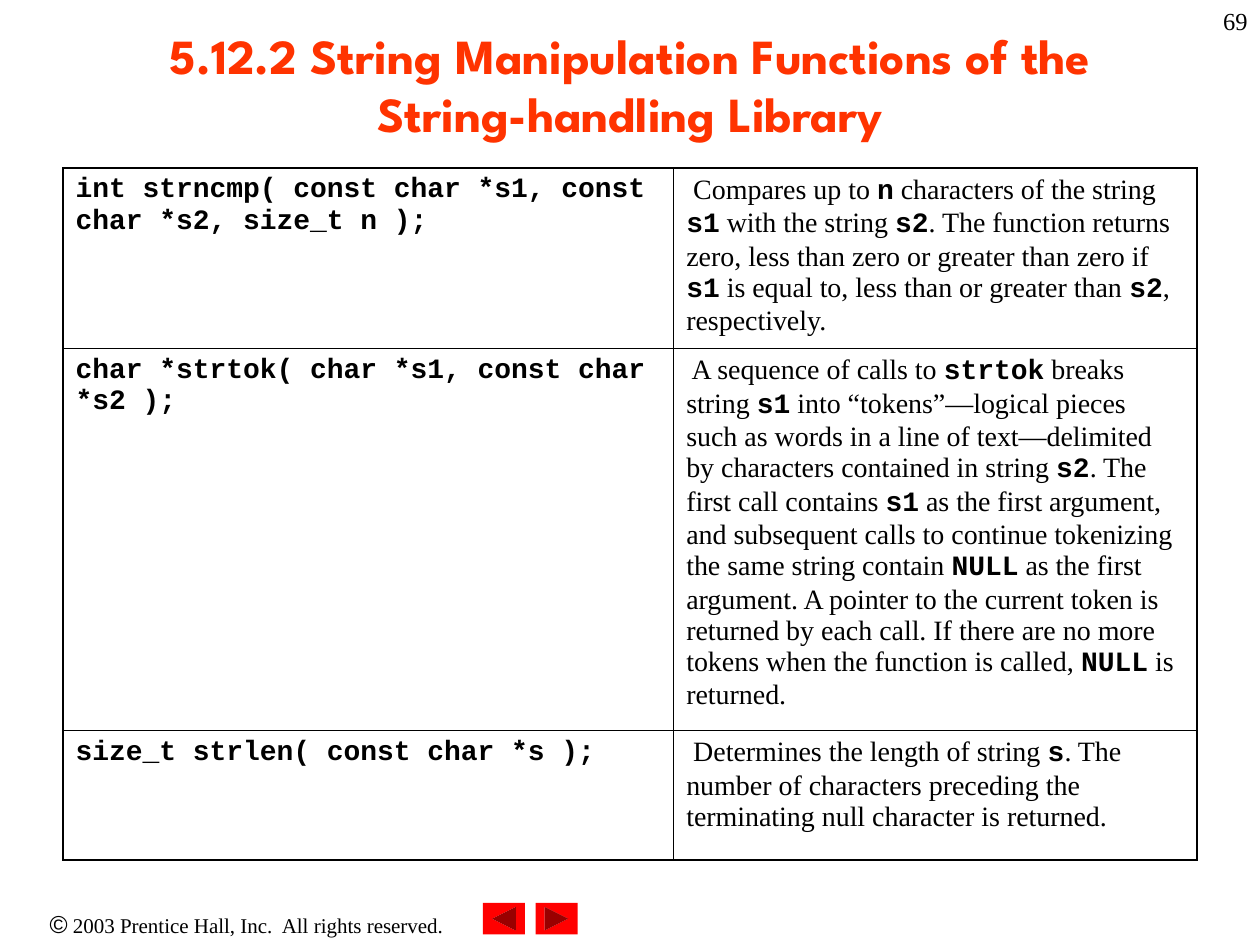
from dataclasses import dataclass

from pptx import Presentation
from pptx.dml.color import RGBColor
from pptx.enum.shapes import MSO_SHAPE
from pptx.enum.text import MSO_ANCHOR, PP_ALIGN
from pptx.oxml import parse_xml
from pptx.oxml.ns import nsdecls
from pptx.util import Pt


@dataclass(frozen=True)
class Theme:
    title_color: str = "FF3300"
    text_color: str = "000000"
    button_color: str = "FF0000"
    title_font: str = "League Spartan"
    body_font: str = "Times New Roman"
    code_font: str = "Courier New"
    symbol_font: str = "Arial"
    title_size: float = 28
    table_size: float = 16
    number_size: float = 14
    footer_size: float = 12
    outer_line: float = 1.08
    inner_line: float = 0.45


def add_text(paragraph, text, *, font, size, color, bold=False):
    """Add one formatted run to a paragraph."""
    run = paragraph.add_run()
    run.text = text
    run.font.name = font
    run.font.size = Pt(size)
    run.font.bold = bold
    run.font.color.rgb = RGBColor.from_string(color)


class SlideBuilder:
    def __init__(self, slide, theme):
        self.slide = slide
        self.theme = theme

    def title(self, text, left, top, width, height):
        shape = self.slide.shapes.title
        shape.left, shape.top = Pt(left), Pt(top)
        shape.width, shape.height = Pt(width), Pt(height)
        frame = shape.text_frame
        frame.word_wrap = True
        frame.vertical_anchor = MSO_ANCHOR.MIDDLE
        paragraph = frame.paragraphs[0]
        paragraph.alignment = PP_ALIGN.CENTER
        add_text(paragraph, text, font=self.theme.title_font,
                 size=self.theme.title_size, color=self.theme.title_color, bold=True)

    def text_box(self, parts, left, top, width, height, alignment):
        """Place a line made of (text, font, size) parts."""
        box = self.slide.shapes.add_textbox(Pt(left), Pt(top), Pt(width), Pt(height))
        box.text_frame.word_wrap = True
        paragraph = box.text_frame.paragraphs[0]
        paragraph.alignment = alignment
        for text, font, size in parts:
            add_text(paragraph, text, font=font, size=size, color=self.theme.text_color)

    def button(self, left, top, width, height, rotation=0):
        shape = self.slide.shapes.add_shape(
            MSO_SHAPE.ACTION_BUTTON_FORWARD_OR_NEXT,
            Pt(left), Pt(top), Pt(width), Pt(height))
        shape.shadow.inherit = False
        shape.rotation = rotation
        shape.fill.solid()
        shape.fill.fore_color.rgb = RGBColor.from_string(self.theme.button_color)
        shape.line.fill.background()

    def table(self, rows, left, top, column_widths, row_heights):
        """Fill a table; text between backticks is set as code."""
        table = self.slide.shapes.add_table(
            len(rows), len(column_widths), Pt(left), Pt(top),
            Pt(sum(column_widths)), Pt(sum(row_heights))).table
        table.first_row = table.horz_banding = False
        for column, width in zip(table.columns, column_widths):
            column.width = Pt(width)
        for row, height in zip(table.rows, row_heights):
            row.height = Pt(height)
        last_row, last_column = len(rows) - 1, len(column_widths) - 1
        for row_index, texts in enumerate(rows):
            for column_index, text in enumerate(texts):
                cell = table.cell(row_index, column_index)
                self.borders(cell, L=column_index == 0, R=column_index == last_column,
                             T=row_index == 0, B=row_index == last_row)
                cell.fill.background()
                self.mixed_text(cell.text_frame.paragraphs[0], text)

    def borders(self, cell, **outer_sides):
        properties = cell._tc.get_or_add_tcPr()
        for side, is_outer in outer_sides.items():
            width = self.theme.outer_line if is_outer else self.theme.inner_line
            properties.append(parse_xml(
                f'<a:ln{side} {nsdecls("a")} w="{Pt(width)}"><a:solidFill>'
                f'<a:srgbClr val="{self.theme.text_color}"/></a:solidFill></a:ln{side}>'))

    def mixed_text(self, paragraph, text):
        for index, part in enumerate(text.split("`")):
            is_code = index % 2 == 1
            if part:
                add_text(paragraph, part, size=self.theme.table_size,
                         font=self.theme.code_font if is_code else self.theme.body_font,
                         color=self.theme.text_color, bold=is_code)


FUNCTIONS = [
    ("`int strncmp( const char *s1, const char *s2, size_t n );`",
     " Compares up to `n` characters of the string `s1` with the string `s2`. "
     "The function returns zero, less than zero or greater than zero if `s1` is "
     "equal to, less than or greater than `s2`, respectively."),
    ("`char *strtok( char *s1, const char *s2 );`",
     " A sequence of calls to `strtok` breaks string `s1` into “tokens”—logical "
     "pieces such as words in a line of text—delimited by characters contained in "
     "string `s2`. The first call contains `s1` as the first argument, and "
     "subsequent calls to continue tokenizing the same string contain `NULL` as the "
     "first argument. A pointer to the current token is returned by each call. If "
     "there are no more tokens when the function is called, `NULL` is returned."),
    ("`size_t strlen( const char *s );`",
     " Determines the length of string `s`. The number of characters preceding the "
     "terminating null character is returned."),
]


def main():
    presentation = Presentation()
    presentation.slide_width, presentation.slide_height = Pt(720), Pt(540)
    theme = Theme()
    slide = presentation.slides.add_slide(presentation.slide_layouts.get_by_name("Title Only"))
    builder = SlideBuilder(slide, theme)

    # Heading and slide number
    builder.title("5.12.2 String Manipulation Functions of the String-handling Library",
                  54, 6, 612, 84)
    builder.text_box([("69", theme.body_font, theme.number_size)],
                     570, 0, 150, 36, PP_ALIGN.RIGHT)

    # Function table
    builder.table(FUNCTIONS, 36, 96, [349, 299], [103, 218.25, 73.75])

    # Copyright line and navigation buttons
    builder.text_box([("©", theme.symbol_font, theme.number_size),
                      (" 2003 Prentice Hall, Inc.  All rights reserved.",
                       theme.body_font, theme.footer_size)],
                     0, 516, 282, 24.5, PP_ALIGN.CENTER)
    for left, rotation in ((276, 180), (306, 0)):
        builder.button(left, 516, 24, 18, rotation)

    presentation.save("out.pptx")


if __name__ == "__main__":
    main()
